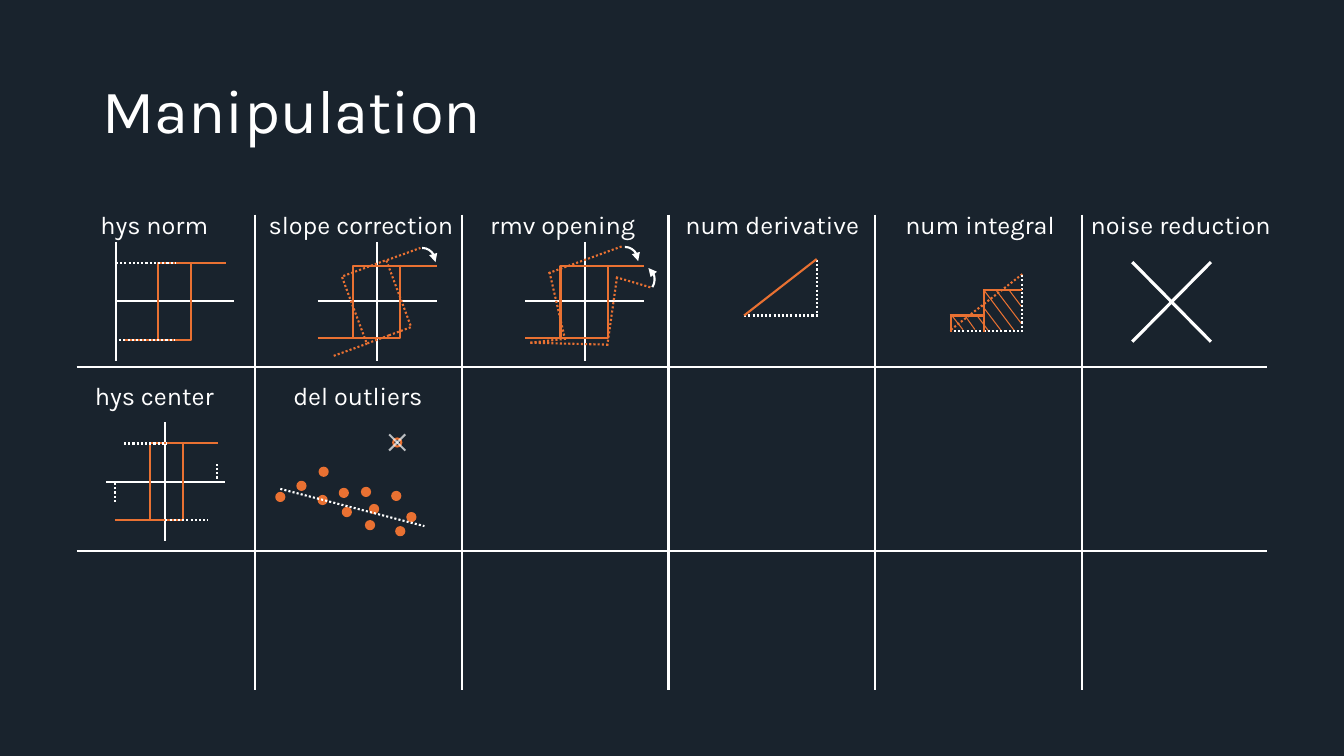
from pptx import Presentation
from pptx.dml.color import RGBColor
from pptx.enum.dml import MSO_LINE
from pptx.enum.shapes import MSO_CONNECTOR, MSO_SHAPE
from pptx.enum.text import MSO_ANCHOR, PP_ALIGN
from pptx.oxml.ns import qn
from pptx.util import Pt
from lxml.etree import SubElement

PX = 9144  # 100 px to the inch
FONT = "Karla"
C = {"bg": "19232D", "white": "FFFFFF", "orange": "E97132"}
DOT = MSO_LINE.ROUND_DOT

prs = Presentation()
prs.slide_width, prs.slide_height = 1333 * PX, 750 * PX
s = prs.slides.add_slide(prs.slide_layouts[6])
s.background.fill.solid()
s.background.fill.fore_color.rgb = RGBColor.from_string(C["bg"])


def line(x1, y1, x2, y2, color="white", width=1.5, dash=None, kind=MSO_CONNECTOR.STRAIGHT):
    c = s.shapes.add_connector(kind, *[v * PX for v in (x1, y1, x2, y2)])
    SubElement(c.element.spPr, qn("a:effectLst"))
    c.line.color.rgb = RGBColor.from_string(C[color])
    c.line.width = Pt(width)
    c.line.dash_style = dash
    return c


def shape(kind, x, y, w, h, fill=None, color="orange", dash=None):
    sp = s.shapes.add_shape(kind, *[v * PX for v in (x, y, w, h)])
    sp.shadow.inherit = False
    if fill:
        sp.fill.solid()
        sp.fill.fore_color.rgb = RGBColor.from_string(C[fill])
    else:
        sp.fill.background()
    sp.line.color.rgb = RGBColor.from_string(C[color])
    sp.line.width = Pt(1.5)
    sp.line.dash_style = dash
    return sp


# Grid
for y in (364, 547):
    line(76, y, 1257, y)
for i in range(5):
    line(253 + 205 * i, 213, 253 + 205 * i, 685)

# Title and cell labels
for text, x, y, w, h, size in [
    ("Manipulation", 92, 40, 1150, 145, 44),
    ("hys norm", 69, 203, 168, 40, 18),
    ("slope correction", 249, 203, 218, 40, 18),
    ("rmv opening", 449, 203, 218, 40, 18),
    ("num derivative", 657, 203, 218, 40, 18),
    ("num integral", 863, 203, 218, 40, 18),
    ("noise reduction", 1062, 203, 218, 40, 18),
    ("hys center", 69, 372, 168, 40, 18),
    ("del outliers", 271, 372, 168, 40, 18),
]:
    tf = s.shapes.add_textbox(*[v * PX for v in (x, y, w, h)]).text_frame
    tf.word_wrap = True
    p = tf.paragraphs[0]
    p.text = text
    p.font.name, p.font.size = FONT, Pt(size)
    p.font.color.rgb = RGBColor.from_string(C["white"])
    if text == "Manipulation":
        tf.vertical_anchor = MSO_ANCHOR.MIDDLE
        p.line_spacing = 0.9
    else:
        p.alignment = PP_ALIGN.CENTER

# Axes
line(115, 240, 115, 358)
line(114, 299, 232, 299)
for cx, cy in [(374, 299), (580, 299), (164, 478)]:
    line(cx, cy - 59, cx, cy + 59)
    line(cx - 59, cy, cx + 59, cy)

# Hysteresis loops of hys norm and hys center
for x, y in [(122, 337), (114, 516)]:
    for bend in (66100, 33900):
        c = line(x, y, x + 102, y - 76, "orange", kind=MSO_CONNECTOR.ELBOW)
        av = c.element.spPr.find(qn("a:prstGeom")).get_or_add_avLst()
        SubElement(av, qn("a:gd"), name="adj1", fmla=f"val {bend}")
for ends in [
    (115, 261, 174, 261), (114, 337, 173, 337),
    (123, 440, 165, 440), (164, 516, 206, 516),
    (114, 498, 114, 478), (215, 479, 215, 459),
]:
    line(*ends, dash=DOT)

# Loops of slope correction and rmv opening
for cx in (374, 580):
    shape(MSO_SHAPE.RECTANGLE, cx - 24, 264, 47, 71)
    line(cx, 264, cx + 59, 264, "orange")
    line(cx - 59, 335, cx, 335, "orange")
tilted = shape(MSO_SHAPE.RECTANGLE, 350, 264, 47, 71, dash=DOT)
tilted.rotation = 339.6
for ends in [
    (384, 258, 417, 246), (331, 353, 364, 341),
    (544, 271, 618, 244), (526, 340, 562, 336), (526, 340, 605, 342),
    (545, 270, 561, 339), (612, 275, 602, 345), (611, 275, 645, 285),
]:
    line(*ends, "orange", dash=DOT)

# Curved arrows
for x, y, angle, end in [
    (406, 246, 0, "a:tailEnd"), (607, 245, 0, "a:tailEnd"), (623, 264, 31.9, "a:headEnd"),
]:
    arc = shape(MSO_SHAPE.ARC, x, y, 26, 28, color="white")
    arc.adjustments[0] = 161.251
    arc.rotation = angle
    SubElement(arc.element.spPr.find(qn("a:ln")), qn(end), type="triangle")

# Num derivative
line(738, 313, 811, 313, dash=DOT)
line(810, 258, 810, 314, dash=DOT)
line(810, 257, 738, 313, "orange")

# Num integral: slope, hatching, base, steps
line(1014, 272, 942, 328, "orange", dash=DOT)
for ends in [
    (976, 288, 1006, 328), (988, 288, 1013, 321), (1001, 288, 1013, 304),
    (974, 303, 993, 328), (969, 313, 981, 329), (957, 313, 967, 327),
    (944, 313, 955, 327),
]:
    line(*ends, "orange", 0.75)
line(942, 328, 1016, 328, dash=DOT)
line(1014, 273, 1014, 329, dash=DOT)
for ends in [
    (942, 313, 977, 313), (975, 288, 1014, 288),
    (976, 288, 976, 329), (943, 312, 943, 329),
]:
    line(*ends, "orange")

# Noise reduction cross
line(1201, 339, 1123, 260, width=2.25)
line(1123, 339, 1201, 260, width=2.25)

# Del outliers: points, trend, crossed-out outlier
for x, y in [
    (274, 489), (317, 464), (389, 488), (316, 492), (359, 484), (340, 504),
    (295, 478), (337, 485), (363, 517), (404, 509), (367, 501), (393, 523),
]:
    shape(MSO_SHAPE.OVAL, x, y, 8, 8, "orange")
shape(MSO_SHAPE.OVAL, 390, 435, 8, 8, "bg")
line(278, 485, 421, 522, dash=DOT)
for y1, y2 in [(447, 431), (431, 447)]:
    c = line(386, y1, 402, y2)
    clr = c.element.spPr.find(qn("a:ln")).find(".//" + qn("a:srgbClr"))
    SubElement(clr, qn("a:alpha"), val="70000")

prs.save("out.pptx")
